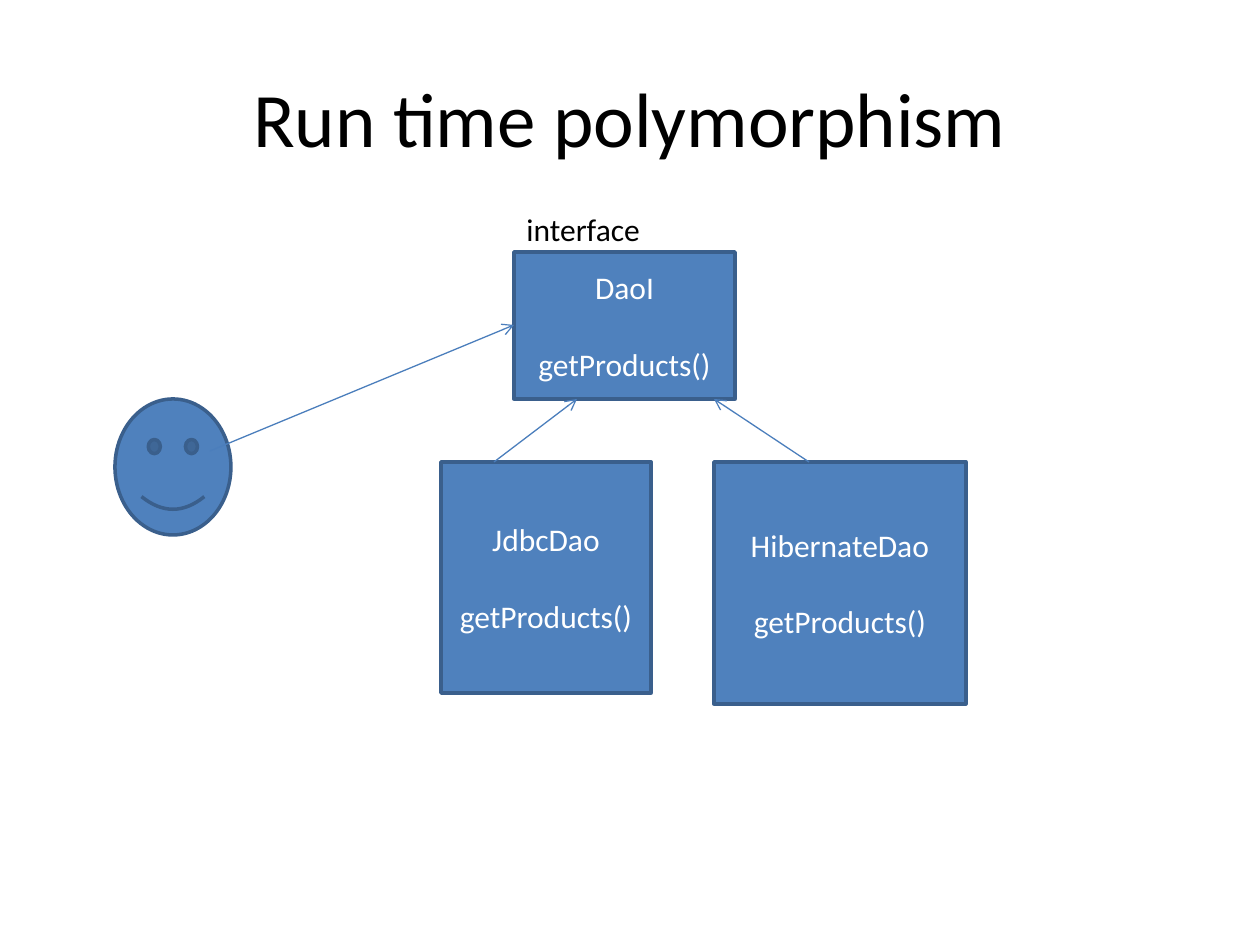
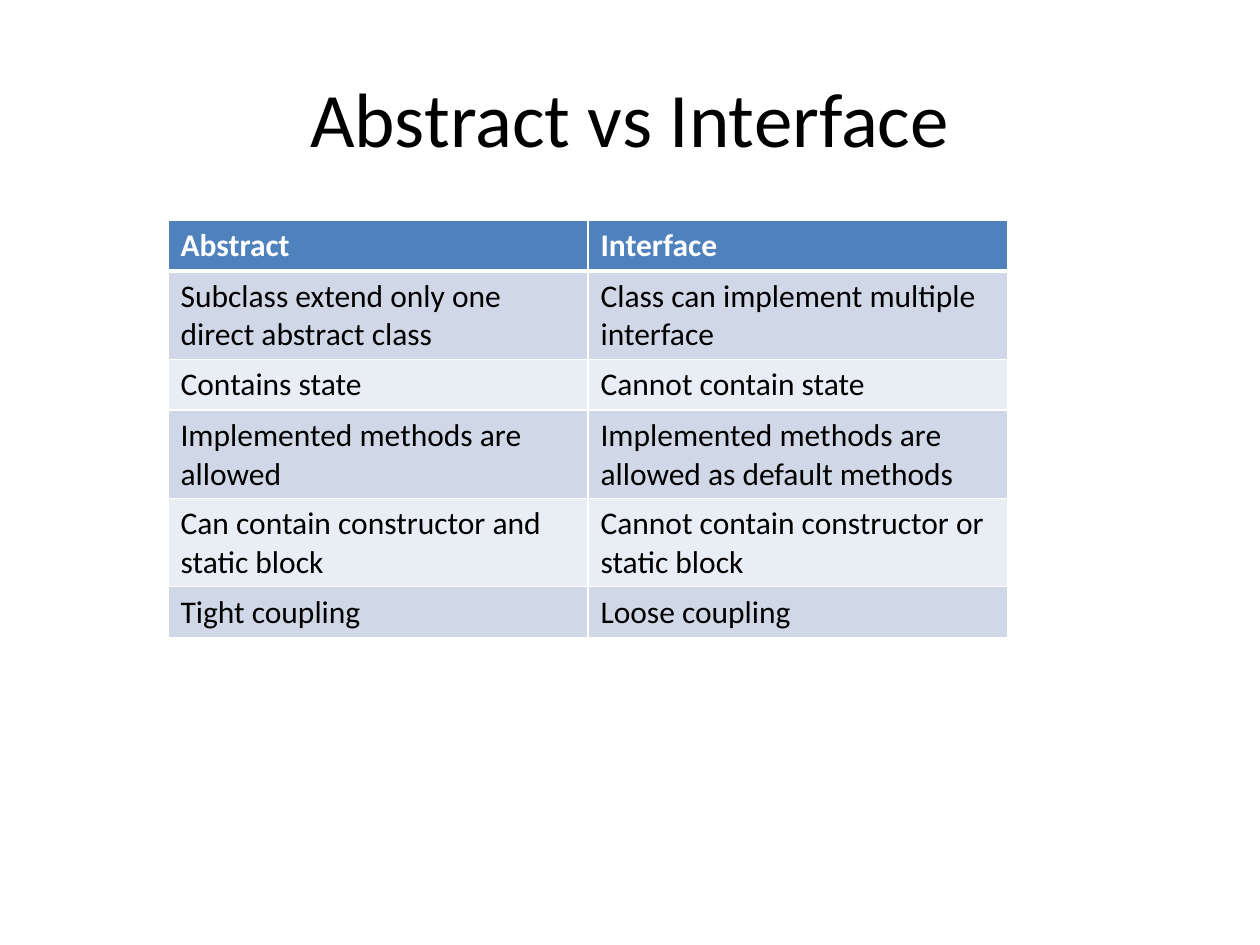
from dataclasses import dataclass

from pptx import Presentation
from pptx import util as u
from pptx.dml.color import RGBColor
from pptx.enum import shapes, text
from pptx.oxml.ns import qn
from lxml import etree

PX = u.Inches(1) / 126  # EMU per pixel


@dataclass(frozen=True)
class Theme:
    font: str = "Calibri"
    title_size: int = 44
    body_size: int = 18
    line_gap: int = 22
    ink: str = "000000"
    paper: str = "FFFFFF"
    blue: str = "4F81BD"
    outline: str = "3A5F8C"
    arrow: str = "4B7EBC"
    bands: tuple = ("D0D8E8", "E9EDF4")


THEME = Theme()


def px(*lengths):
    return [u.Emu(round(length * PX)) for length in lengths]


def rgb(code):
    return RGBColor.from_string(code)


def style(paragraph, color, size=THEME.body_size, bold=False):
    font = paragraph.font
    font.name, font.size, font.bold = THEME.font, u.Pt(size), bold
    font.color.rgb = rgb(color)


def add_text(slide, box, words, size=THEME.body_size,
             align=text.PP_ALIGN.LEFT, anchor=text.MSO_ANCHOR.TOP):
    frame = slide.shapes.add_textbox(*px(*box)).text_frame
    frame.word_wrap = True
    frame.vertical_anchor = anchor
    frame.text = words
    paragraph = frame.paragraphs[0]
    paragraph.alignment = align
    style(paragraph, THEME.ink, size)


def add_titled_slide(deck, title):
    slide = deck.slides.add_slide(deck.slide_layouts[6])
    add_text(slide, (63, 38, 1134, 157), title, THEME.title_size,
             text.PP_ALIGN.CENTER, text.MSO_ANCHOR.MIDDLE)
    return slide


def add_figure(slide, preset, box):
    figure = slide.shapes.add_shape(preset, *px(*box))
    figure.shadow.inherit = False
    figure.fill.solid()
    figure.fill.fore_color.rgb = rgb(THEME.blue)
    figure.line.color.rgb = rgb(THEME.outline)
    figure.line.width = u.Pt(2)
    return figure


def add_class_box(slide, box, name, method):
    frame = add_figure(slide, shapes.MSO_SHAPE.RECTANGLE, box).text_frame
    frame.word_wrap = True
    frame.vertical_anchor = text.MSO_ANCHOR.MIDDLE
    frame.text = f"{name}\n{method}"
    for paragraph in frame.paragraphs:
        paragraph.alignment = text.PP_ALIGN.CENTER
        style(paragraph, THEME.paper)
    # One line of space between class name and method
    frame.paragraphs[1].space_before = u.Pt(THEME.line_gap)


def add_arrow(slide, start, end):
    arrow = slide.shapes.add_connector(
        shapes.MSO_CONNECTOR.STRAIGHT, *px(*start, *end))
    arrow.line.color.rgb = rgb(THEME.arrow)
    arrow.line.width = u.Pt(0.75)
    etree.SubElement(arrow.line._get_or_add_ln(), qn("a:tailEnd"), type="arrow")
    etree.SubElement(arrow._element.spPr, qn("a:effectLst"))


def add_borders(cell, **widths):
    properties = cell._tc.get_or_add_tcPr()
    for side in "LRTB":
        width = u.Pt(widths.get(side, 1))
        line = etree.SubElement(properties, qn(f"a:ln{side}"), w=str(width))
        fill = etree.SubElement(line, qn("a:solidFill"))
        etree.SubElement(fill, qn("a:srgbClr"), val=THEME.paper)


def add_comparison(slide, left, top, width, row_height, rows):
    table = slide.shapes.add_table(
        len(rows), len(rows[0]),
        *px(left, top, width, row_height * len(rows))).table
    for r, row in enumerate(rows):
        header = r == 0
        fill = THEME.blue if header else THEME.bands[(r - 1) % 2]
        # Heavier rule below the header
        rule = {0: {"B": 3}, 1: {"T": 3}}.get(r, {})
        for c, words in enumerate(row):
            cell = table.cell(r, c)
            add_borders(cell, **rule)
            cell.fill.solid()
            cell.fill.fore_color.rgb = rgb(fill)
            cell.text = words
            style(cell.text_frame.paragraphs[0],
                  THEME.paper if header else THEME.ink, bold=header)


def build_polymorphism(deck):
    slide = add_titled_slide(deck, "Run time polymorphism")
    # Interface and its two implementations
    method = "getProducts()"
    add_class_box(slide, (514, 252, 221, 147), "DaoI", method)
    add_text(slide, (514, 204, 221, 53), "interface")
    add_class_box(slide, (441, 462, 210, 231), "JdbcDao", method)
    add_class_box(slide, (714, 462, 252, 242), "HibernateDao", method)
    add_arrow(slide, (494, 462), (577, 399))
    add_arrow(slide, (809, 462), (714, 399))
    # Caller
    add_figure(slide, shapes.MSO_SHAPE.SMILEY_FACE, (115, 399, 116, 136))
    add_arrow(slide, (210, 451), (514, 325))


def build_comparison(deck):
    slide = add_titled_slide(deck, "Abstract vs Interface")
    add_comparison(slide, 168, 220, 840, 51, [
        ("Abstract", "Interface"),
        ("Subclass extend only one direct abstract class",
         "Class can implement multiple interface"),
        ("Contains state", "Cannot contain state"),
        ("Implemented methods are allowed",
         "Implemented methods are allowed as default methods"),
        ("Can contain constructor and static block",
         "Cannot contain constructor or static block"),
        ("Tight coupling", "Loose coupling"),
    ])


def main():
    deck = Presentation()
    deck.slide_width, deck.slide_height = px(1260, 945)
    build_polymorphism(deck)
    build_comparison(deck)
    deck.save("out.pptx")


main()
